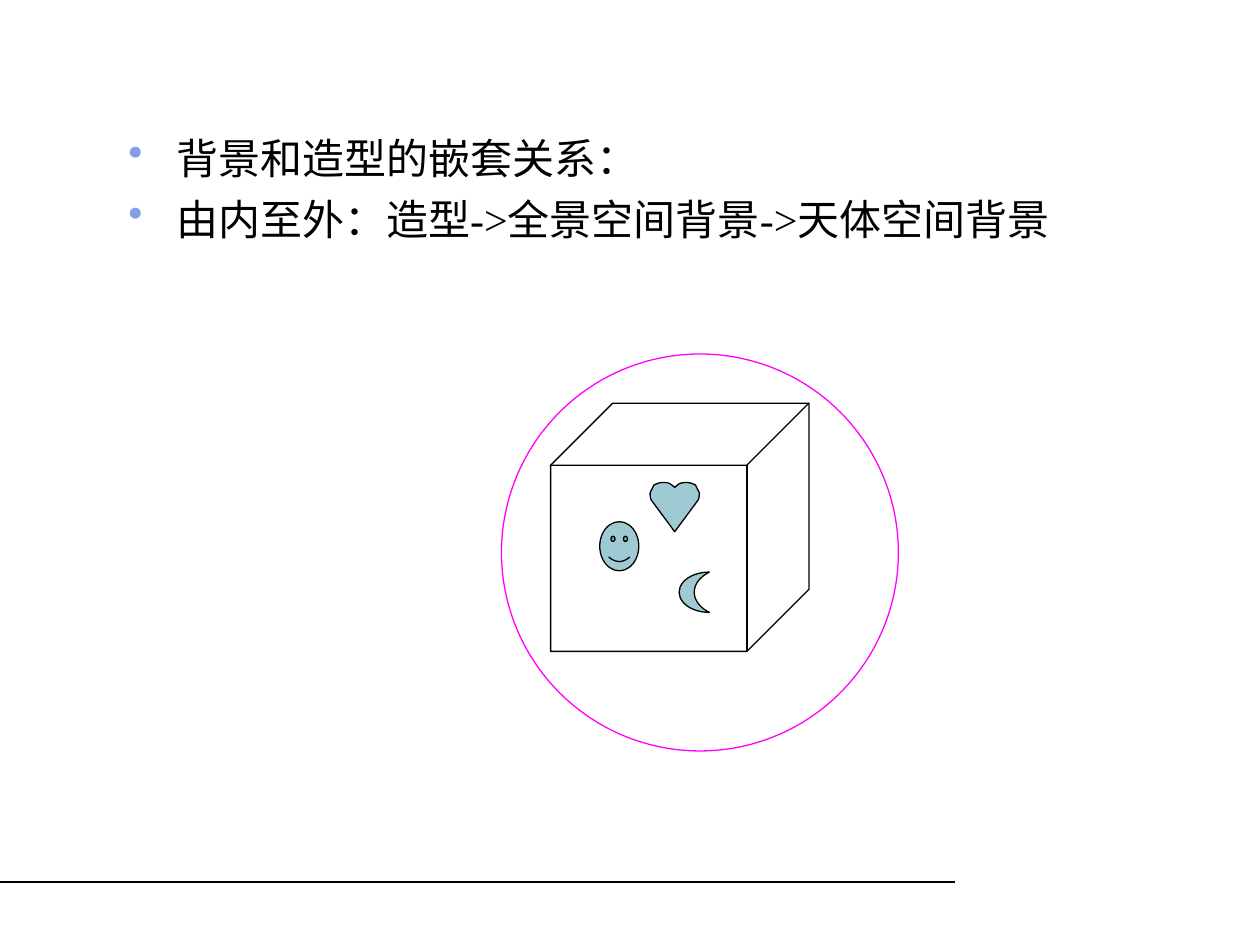
import pptx
import pptx.util
import pptx.dml.color
import pptx.enum.shapes
import lxml.etree

Inches, Pt = pptx.util.Inches, pptx.util.Pt
KIND = pptx.enum.shapes.MSO_SHAPE

# Content
LINES = ["背景和造型的嵌套关系：", "由内至外：造型->全景空间背景->天体空间背景"]
BODY = (0.92, 1, 8.5, 5.75)
SKY = (3.98, 2.81, 3.15, 3.15)
CUBE = (4.37, 3.2, 2.05, 1.97)
FACE = (4.76, 4.14, 0.31, 0.39)
MOON = (5.39, 4.54, 0.24, 0.32)
RULE = (0, 7, 7.58, 7)
# Left half of the heart: start at the notch, then cubic curves, then the tip
MID = 5.355
NOTCH, TIP = (MID, 3.87), (MID, 4.22)
CURVES = [
    [(5.35, 3.86), (5.33, 3.85), (5.32, 3.84)],
    [(5.3, 3.83), (5.28, 3.83), (5.26, 3.83)],
    [(5.23, 3.83), (5.21, 3.84), (5.19, 3.85)],
    [(5.18, 3.87), (5.17, 3.89), (5.16, 3.91)],
    [(5.16, 3.93), (5.16, 3.95), (5.17, 3.97)],
]
THEME = {"ink": "000000", "sky": "FF00FF", "fill": "9FCAD3", "dot": "839EE3",
         "font": "Times New Roman", "size": 24, "line": 0.75}


def color(name):
    return pptx.dml.color.RGBColor.from_string(THEME[name])


def style(shape, line="ink", fill=None):
    shape.shadow.inherit = False
    if fill:
        shape.fill.solid()
        shape.fill.fore_color.rgb = color(fill)
    else:
        shape.fill.background()
    shape.line.color.rgb = color(line)
    shape.line.width = Pt(THEME["line"])


def draw(shapes, kind, box, **look):
    shape = shapes.add_shape(kind, *map(Inches, box))
    style(shape, **look)
    return shape


def bullet(para):
    props = para._p.get_or_add_pPr()
    props.set("marL", str(Inches(0.38)))
    props.set("indent", str(-Inches(0.38)))
    tint = pptx.oxml.ns.qn("a:buClr")
    node = lxml.etree.SubElement(props, tint)
    lxml.etree.SubElement(node, pptx.oxml.ns.qn("a:srgbClr"), val=THEME["dot"])
    lxml.etree.SubElement(props, pptx.oxml.ns.qn("a:buChar"), char="•")


def trace(start, curves, steps=6):
    """Points along a chain of cubic curves."""
    points = [start]
    for one, two, end in curves:
        first = points[-1]
        for i in range(1, steps + 1):
            t = i / steps
            u = 1 - t
            points.append(tuple(
                u**3 * a + 3 * u * u * t * b + 3 * u * t * t * c + t**3 * d
                for a, b, c, d in zip(first, one, two, end)))
    return points


deck = pptx.Presentation()
deck.slide_width, deck.slide_height = Inches(10), Inches(7.5)
slide = deck.slides.add_slide(deck.slide_layouts[6])

# Rule at the foot
rule = slide.shapes.add_connector(
    pptx.enum.shapes.MSO_CONNECTOR.STRAIGHT, *map(Inches, RULE))
rule.line.color.rgb = color("ink")
rule.line.width = Pt(THEME["line"])
lxml.etree.SubElement(rule._element.spPr, pptx.oxml.ns.qn("a:effectLst"))

# Outer sphere
draw(slide.shapes, KIND.OVAL, SKY, line="sky")

# Bulleted text
frame = slide.shapes.add_textbox(*map(Inches, BODY)).text_frame
frame.word_wrap = True
frame.text = "\n".join(LINES)
for para in frame.paragraphs:
    para.space_before = Pt(6)
    bullet(para)
    for run in para.runs:
        run.font.name = THEME["font"]
        run.font.size = Pt(THEME["size"])
        run.font.color.rgb = color("ink")

# Panorama cube
draw(slide.shapes, KIND.CUBE, CUBE).adjustments[0] = 0.25

# Figures inside the cube
group = slide.shapes.add_group_shape()
draw(group.shapes, KIND.SMILEY_FACE, FACE, fill="fill")
draw(group.shapes, KIND.MOON, MOON, fill="fill")
left = trace(NOTCH, CURVES)
right = [(2 * MID - x, y) for x, y in reversed(left)]
heart = [(Inches(x), Inches(y)) for x, y in left + [TIP] + right]
pen = group.shapes.build_freeform(*heart[0])
pen.add_line_segments(heart[1:], close=True)
style(pen.convert_to_shape(), fill="fill")

deck.save("out.pptx")
